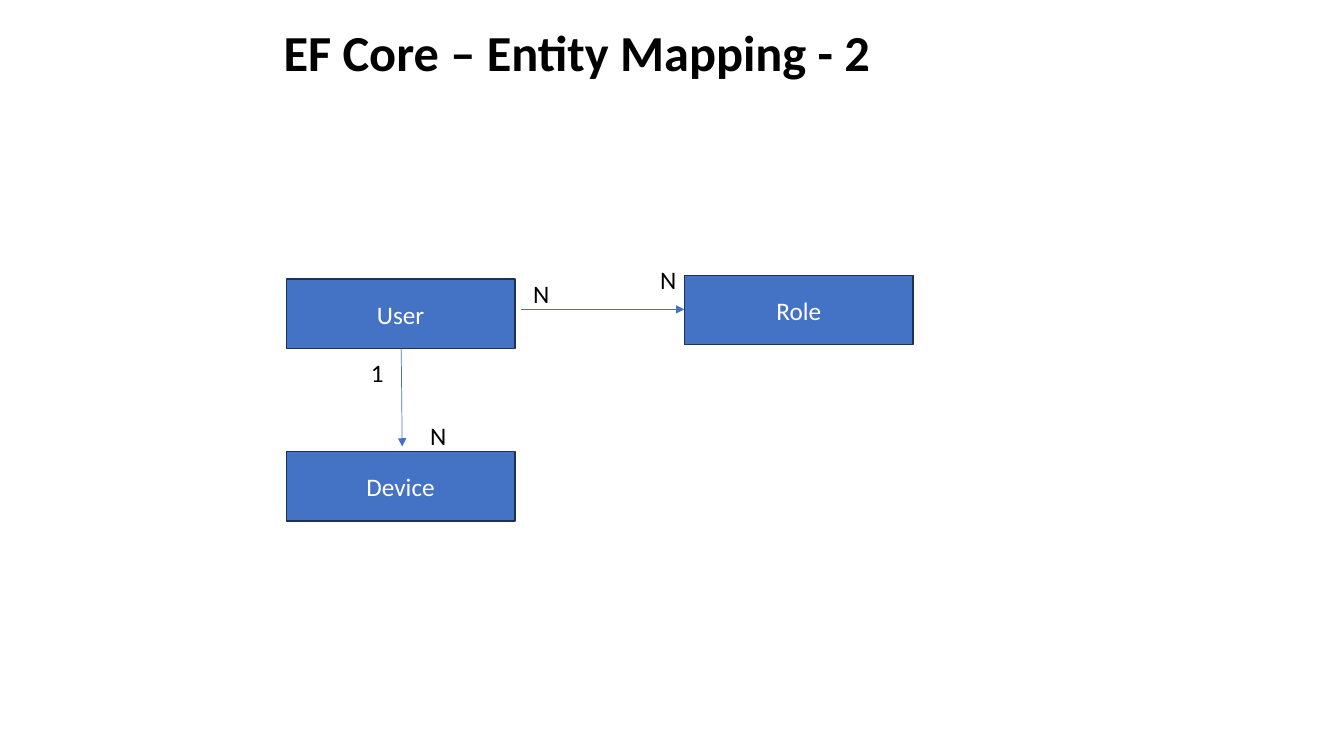
from lxml import etree
from pptx import Presentation
from pptx.dml.color import RGBColor
from pptx.enum.shapes import MSO_CONNECTOR, MSO_SHAPE
from pptx.enum.text import MSO_ANCHOR, PP_ALIGN
from pptx.oxml.ns import qn
from pptx.util import Pt

RECT = MSO_SHAPE.RECTANGLE
STRAIGHT = MSO_CONNECTOR.STRAIGHT
LEFT, CENTER = PP_ALIGN.LEFT, PP_ALIGN.CENTER
TOP, MIDDLE = MSO_ANCHOR.TOP, MSO_ANCHOR.MIDDLE
COLORS = {"blue": "4472C4", "navy": "1E3256", "black": "000000", "white": "FFFFFF"}
RGB = {name: RGBColor.from_string(value) for name, value in COLORS.items()}


def write(sp, text, size=18, color="black", bold=False, align=LEFT, anchor=TOP):
    tf = sp.text_frame
    tf.word_wrap = True
    tf.vertical_anchor = anchor
    tf.margin_left = tf.margin_right = Pt(7.2)
    tf.margin_top = tf.margin_bottom = Pt(3.6)
    p = tf.paragraphs[0]
    p.alignment = align
    p.line_spacing = 1.0
    p.space_before = Pt(0)
    r = p.add_run()
    r.text = text
    r.font.name = "Calibri"
    r.font.size = Pt(size)
    r.font.bold = bold
    r.font.color.rgb = RGB[color]


prs = Presentation()
prs.slide_width, prs.slide_height = Pt(960), Pt(540)
s = prs.slides.add_slide(prs.slide_layouts[5])

# Title
title = s.shapes.title
title.left, title.top, title.width, title.height = Pt(146.9), Pt(11.5), Pt(530.6), Pt(51.1)
write(title, "EF Core – Entity Mapping - 2", size=36, bold=True, align=CENTER)

# Entities
for name, x, y in [("User", 204.5, 199.4), ("Role", 488.9, 196.6), ("Device", 204.5, 322.6)]:
    sp = s.shapes.add_shape(RECT, Pt(x), Pt(y), Pt(163.4), Pt(49.7))
    sp.shadow.inherit = False
    sp.fill.solid()
    sp.fill.fore_color.rgb = RGB["blue"]
    sp.line.color.rgb = RGB["navy"]
    sp.line.width = Pt(1)
    write(sp, name, color="white", align=CENTER, anchor=MIDDLE)

# Relations: User to Role, User to Device
for x1, y1, x2, y2 in [(372.2, 221, 488.9, 221), (286.6, 249.1, 287.3, 319)]:
    cx = s.shapes.add_connector(STRAIGHT, Pt(x1), Pt(y1), Pt(x2), Pt(y2))
    cx.line.color.rgb = RGB["blue"]
    cx.line.width = Pt(0.5)
    etree.SubElement(cx.line._get_or_add_ln(), qn("a:tailEnd"), type="triangle")
    etree.SubElement(cx._element.spPr, qn("a:effectLst"))

# Multiplicities
for text, x, y, w in [("N", 373.7, 195.1, 21.6), ("N", 464.4, 185, 20.2),
                      ("N", 300.2, 296.6, 27.4), ("1", 257.8, 252, 22.3)]:
    write(s.shapes.add_textbox(Pt(x), Pt(y), Pt(w), Pt(29)), text)

prs.save("out.pptx")
